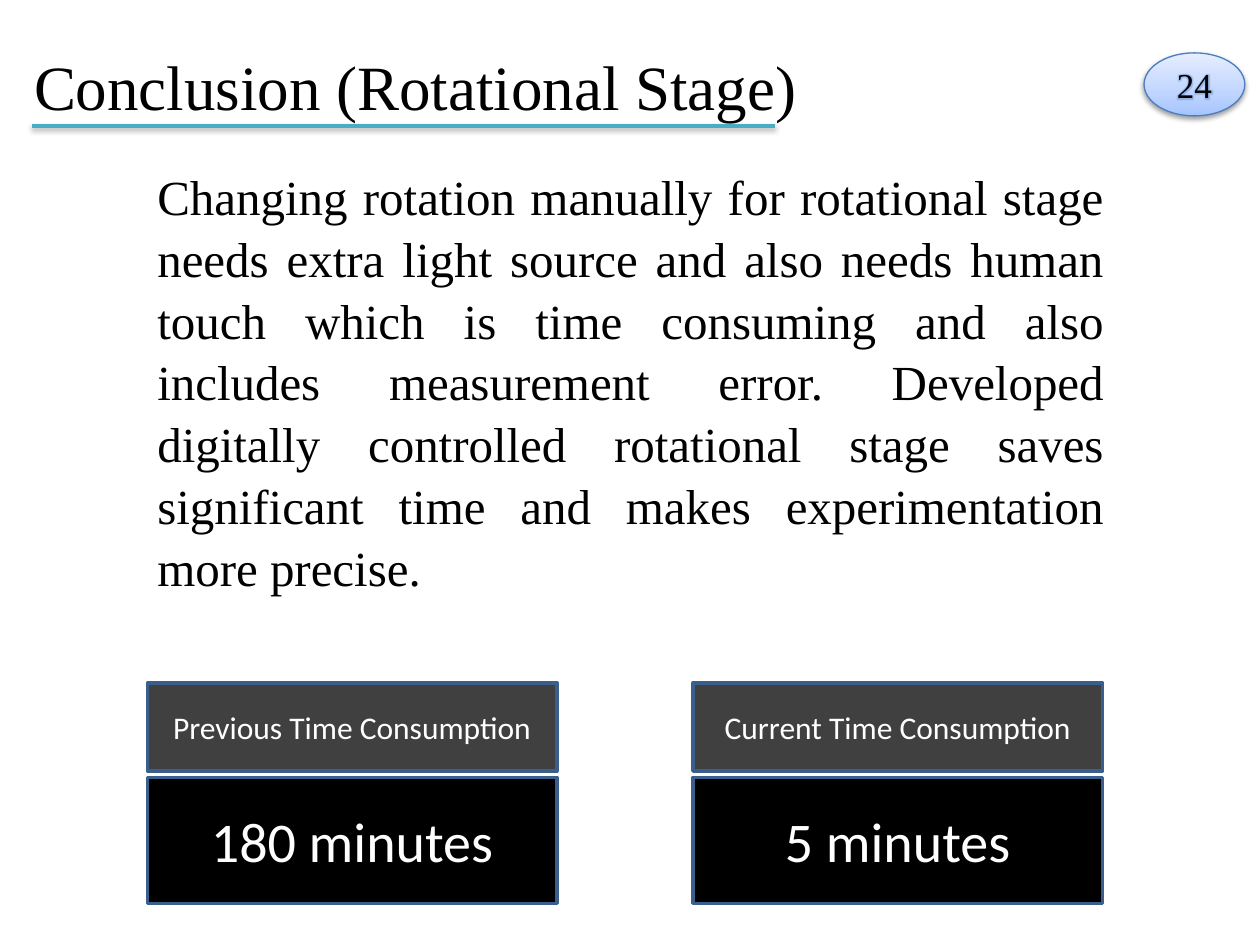
from lxml import etree
from pptx import Presentation
from pptx.dml.color import RGBColor
from pptx.enum.shapes import MSO_CONNECTOR, MSO_SHAPE
from pptx.enum.text import MSO_ANCHOR, PP_ALIGN
from pptx.oxml.ns import qn
from pptx.util import Inches, Pt

LEFT, CENTER, JUSTIFY = PP_ALIGN.LEFT, PP_ALIGN.CENTER, PP_ALIGN.JUSTIFY
TOP, MIDDLE = MSO_ANCHOR.TOP, MSO_ANCHOR.MIDDLE
SERIF, SANS = "Times New Roman", "Calibri"
COLORS = {
    "text": "000000", "underline": "4BACC6", "badge_line": "4B7EBC", "glow": "4F81BD",
    "heading": "404040", "value": "000000", "box_line": "3A5F8C", "box_text": "FFFFFF",
}
BADGE_STOPS = [(0, "A4C4FF"), (35, "BFD4FF"), (100, "E6EEFF")]

TITLE = "Conclusion (Rotational Stage)"
PAGE_NUMBER = "24"
BODY = (
    "Changing rotation manually for rotational stage needs extra light source and also "
    "needs human touch which is time consuming and also includes measurement error. "
    "Developed digitally controlled rotational stage saves significant time and makes "
    "experimentation more precise."
)
TIMES = [
    ("Previous Time Consumption", "180 minutes"),
    ("Current Time Consumption", "5 minutes"),
]
BOX_ROWS = [("heading", 5.42, 0.7, 18), ("value", 6.17, 1, 32)]
BOX_LEFT, BOX_WIDTH, BOX_STEP = 1.17, 3.25, 4.33


def color(name):
    return RGBColor.from_string(COLORS[name])


def inches(*lengths):
    return [Inches(length) for length in lengths]


def write(shape, text, size, font, color_name, alignment, anchor):
    frame = shape.text_frame
    frame.word_wrap = True
    frame.vertical_anchor = anchor
    paragraph = frame.paragraphs[0]
    paragraph.text = text
    paragraph.alignment = alignment
    paragraph.font.size = Pt(size)
    paragraph.font.name = font
    paragraph.font.color.rgb = color(color_name)
    return paragraph


def add_color(parent, value, alpha):
    element = etree.SubElement(parent, qn("a:srgbClr"), val=value)
    if alpha < 100:
        etree.SubElement(element, qn("a:alpha"), val=str(alpha * 1000))


def add_shadow(shape):
    properties = shape._element.spPr
    for old in properties.findall(qn("a:effectLst")):
        properties.remove(old)
    effects = etree.SubElement(properties, qn("a:effectLst"))
    shadow = etree.SubElement(
        effects, qn("a:outerShdw"), blurRad=str(Pt(3.1)), dist=str(Pt(1.6)),
        dir="5400000", rotWithShape="0",
    )
    add_color(shadow, "000000", 38)


def add_box(slide, kind, place, line_name, line_width):
    shape = slide.shapes.add_shape(kind, *inches(*place))
    shape.shadow.inherit = False
    shape.line.color.rgb = color(line_name)
    shape.line.width = Pt(line_width)
    return shape


def add_badge(slide):
    badge = add_box(slide, MSO_SHAPE.OVAL, (9.08, 0.42, 0.8, 0.5), "badge_line", 0.75)
    badge.fill.gradient()
    badge.fill.gradient_angle = 90
    stops = badge._element.spPr.find(".//" + qn("a:gsLst"))
    for old in list(stops):
        stops.remove(old)
    for position, value in BADGE_STOPS:
        stop = etree.SubElement(stops, qn("a:gs"), pos=str(position * 1000))
        add_color(stop, value, 100)
    add_shadow(badge)
    paragraph = write(badge, PAGE_NUMBER, 20, SERIF, "text", CENTER, MIDDLE)
    run_properties = paragraph.runs[0]._r.get_or_add_rPr()
    effects = etree.SubElement(run_properties, qn("a:effectLst"))
    glow = etree.SubElement(effects, qn("a:glow"), rad=str(Pt(4)))
    add_color(glow, COLORS["glow"], 40)


def main():
    presentation = Presentation()
    presentation.slide_width, presentation.slide_height = inches(10, 7.5)
    slide = presentation.slides.add_slide(presentation.slide_layouts[5])

    title = slide.shapes.title
    title.left, title.top, title.width, title.height = inches(0.17, 0.33, 6.83, 1.08)
    write(title, TITLE, 36, SERIF, "text", LEFT, TOP)

    underline = slide.shapes.add_connector(MSO_CONNECTOR.STRAIGHT, *inches(0.25, 1, 6.15, 1))
    underline.line.color.rgb = color("underline")
    underline.line.width = Pt(2)
    add_shadow(underline)

    add_badge(slide)

    body = slide.shapes.add_textbox(*inches(1.15, 1.25, 7.71, 3.7))
    paragraph = write(body, BODY, 28, SERIF, "text", JUSTIFY, TOP)
    paragraph.line_spacing = 1.05

    for row, (name, top, height, size) in enumerate(BOX_ROWS):
        for column, texts in enumerate(TIMES):
            place = (BOX_LEFT + column * BOX_STEP, top, BOX_WIDTH, height)
            box = add_box(slide, MSO_SHAPE.RECTANGLE, place, "box_line", 2)
            box.fill.solid()
            box.fill.fore_color.rgb = color(name)
            write(box, texts[row], size, SANS, "box_text", CENTER, MIDDLE)

    presentation.save("out.pptx")


if __name__ == "__main__":
    main()
